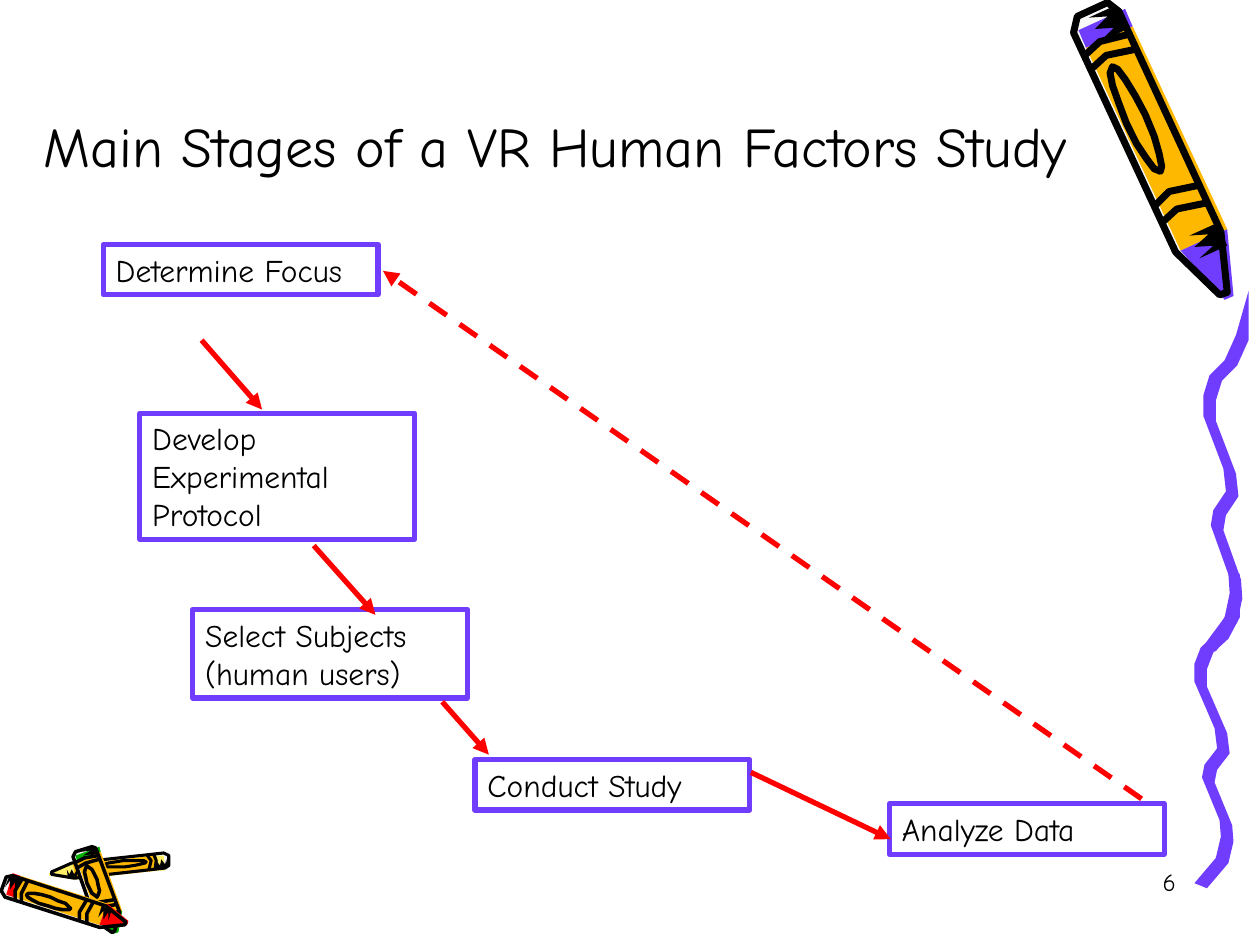
import math

import lxml.etree
import pptx
import pptx.dml.color
import pptx.enum.dml
import pptx.enum.shapes
import pptx.enum.text
import pptx.oxml.ns
import pptx.util

PX = 9144  # EMU per px, 100 px to the inch
FONT = "Comic Neue"
COLORS = {
    "purple": "703DFF", "orange": "FFB800", "white": "F8F8F8", "yellow": "FFEF66",
    "red": "FF0000", "green": "00B200", "black": "000000",
}

# A crayon is described in (along, across): along runs from 0 at the cap to 1 at
# the tip, across from -1 to 1 between its two long edges.
SHOULDER = 0.8
CRAYON_OUTLINE = [(0.04, -1), (0, -0.6), (0, 0.7), (0.04, 1), (SHOULDER, 1),
                  (0.98, 0.2), (0.98, -0.1), (SHOULDER, -1)]
CRAYON_BANDS = [0.1, 0.15, 0.62, 0.68]
INK_EDGES = (-0.78, 1.25)  # the colour is printed a little beside the outline
LABEL_CENTER, LABEL_RADII = (0.37, -0.2), (0.18, 0.4)
LABEL_STEPS = 16

# Crayons: cap end, tip end, half width, colour of cap and tip, pen in points
LARGE_CRAYON = ((866, 8), (972, 238), 20, "purple", 4)
SMALL_CRAYONS = [
    ((134, 683), (39, 693), 6, "yellow", 1.75),
    ((66, 674), (90, 741), 10, "green", 2),
    ((3, 702), (101, 734), 9, "red", 2),
]

# Centre line of one squiggle strand, and the two strands as left, top, height
STRAND_BENDS = [(51, 0), (46, 37), (37, 57), (25, 69), (20, 84), (20, 100), (36, 142),
                (38, 160), (28, 175), (26, 187), (40, 225), (41, 240), (37, 259), (20, 282)]
STRAND_PEN = (5, 2)  # half the slanted nib, across and down
STRANDS = [(933, 455, 248), (940, 231, 284)]

# Stages: left, top, height, text
STAGES = [
    (82, 194, 40, "Determine Focus"),
    (111, 328, 100, "Develop Experimental Protocol"),
    (153, 484, 70, "Select Subjects (human users)"),
    (377, 603, 40, "Conduct Study"),
    (706, 638, 40, "Analyze Data"),
]
STAGE_WIDTH = 218
STEP_ARROWS = [
    (160, 270, 208, 325),
    (249, 433, 298, 488),
    (351, 557, 388, 599),
    (596, 613, 707, 666),
]
FEEDBACK_ARROW = (906, 634, 304, 215)


def rgb(color):
    return pptx.dml.color.RGBColor.from_string(COLORS[color])


def add_outline(parent, points, fill=None, pen=None, close=True):
    """A freeform through the points, filled and/or drawn with a black pen."""
    points = [(round(x), round(y)) for x, y in points]
    builder = parent.shapes.build_freeform(*points[0], scale=PX)
    builder.add_line_segments(points[1:], close=close)
    outline = builder.convert_to_shape()
    outline.shadow.inherit = False
    if fill:
        outline.fill.solid()
        outline.fill.fore_color.rgb = rgb(fill)
    else:
        outline.fill.background()
    if pen:
        outline.line.color.rgb = rgb("black")
        outline.line.width = pptx.util.Pt(pen)
    else:
        outline.line.fill.background()


def add_crayon(slide, cap, tip, half_width, color, pen):
    crayon = slide.shapes.add_group_shape()
    run, drop = tip[0] - cap[0], tip[1] - cap[1]
    spread = half_width / math.hypot(run, drop)

    def place(points):
        return [(cap[0] + along * run + across * spread * drop,
                 cap[1] + along * drop - across * spread * run)
                for along, across in points]

    # Paper, then the coloured cap, body and tip
    near, far = INK_EDGES
    add_outline(crayon, place(CRAYON_OUTLINE), fill="white")
    for start, end, ink in ((0.04, 0.1, color), (0.1, SHOULDER, "orange")):
        add_outline(crayon, place([(start, near), (start, far), (end, far), (end, near)]), fill=ink)
    add_outline(crayon, place([(SHOULDER, near), (SHOULDER, far), (1, 0.4), (1, 0)]), fill=color)

    # Dark jagged shading beside the far edge, at the cap and at the shoulder
    for start in (0.02, SHOULDER - 0.03):
        teeth = [(start + 0.02 * step, 0.5 if step % 2 else -0.2) for step in range(5)]
        add_outline(crayon, place(teeth + [(start + 0.08, 1), (start, 1)]), fill="black")

    # Black bands, oval label and outline
    for along in CRAYON_BANDS:
        band = [(along + 0.02, -1), (along, -0.2), (along + 0.02, 1)]
        add_outline(crayon, place(band), pen=pen, close=False)
    turns = [2 * math.pi * step / LABEL_STEPS for step in range(LABEL_STEPS)]
    label = [(LABEL_CENTER[0] + LABEL_RADII[0] * math.cos(turn),
              LABEL_CENTER[1] + LABEL_RADII[1] * math.sin(turn)) for turn in turns]
    add_outline(crayon, place(label), pen=pen)
    add_outline(crayon, place(CRAYON_OUTLINE), pen=pen)


def add_strand(slide, left, top, height):
    """A ribbon that starts in a point and follows the bends, stretched to the height."""
    stretch = height / STRAND_BENDS[-1][1]
    center = [(left + x, top + y * stretch) for x, y in STRAND_BENDS]
    across, down = STRAND_PEN
    near = [(x - across, y - down) for x, y in center[1:]]
    far = [(x + across, y + down) for x, y in center[1:]]
    add_outline(slide, center[:1] + far + near[::-1], fill="purple")


def add_decoration(slide):
    for crayon in [LARGE_CRAYON] + SMALL_CRAYONS:
        add_crayon(slide, *crayon)
    for strand in STRANDS:
        add_strand(slide, *strand)


def write(shape, text, size, align, anchor):
    frame = shape.text_frame
    frame.word_wrap = True
    frame.vertical_anchor = anchor
    frame.text = text
    paragraph = frame.paragraphs[0]
    paragraph.alignment = align
    paragraph.font.name = FONT
    paragraph.font.size = pptx.util.Pt(size)
    paragraph.font.color.rgb = rgb("black")


def add_label(slide, box, text, size, align, anchor):
    label = slide.shapes.add_textbox(*(length * PX for length in box))
    write(label, text, size, align, anchor)


def add_stage(slide, left, top, height, text):
    stage = slide.shapes.add_shape(
        pptx.enum.shapes.MSO_SHAPE.RECTANGLE,
        left * PX, top * PX, STAGE_WIDTH * PX, height * PX)
    stage.shadow.inherit = False
    stage.fill.background()
    stage.line.color.rgb = rgb("purple")
    stage.line.width = pptx.util.Pt(3)
    write(stage, text, 18, pptx.enum.text.PP_ALIGN.LEFT, pptx.enum.text.MSO_ANCHOR.TOP)


def add_arrow(slide, ends, dashed=False):
    arrow = slide.shapes.add_connector(
        pptx.enum.shapes.MSO_CONNECTOR.STRAIGHT, *(end * PX for end in ends))
    arrow.line.color.rgb = rgb("red")
    arrow.line.width = pptx.util.Pt(3)
    if dashed:
        arrow.line.dash_style = pptx.enum.dml.MSO_LINE.DASH
    qn = pptx.oxml.ns.qn
    properties = arrow.element.find(qn("p:spPr"))
    lxml.etree.SubElement(properties.find(qn("a:ln")), qn("a:tailEnd"), type="triangle")
    lxml.etree.SubElement(properties, qn("a:effectLst"))


def add_study_flow(slide):
    for stage in STAGES:
        add_stage(slide, *stage)
    for ends in STEP_ARROWS:
        add_arrow(slide, ends)
    add_arrow(slide, FEEDBACK_ARROW, dashed=True)


def main():
    deck = pptx.Presentation()
    deck.slide_width, deck.slide_height = 1000 * PX, 750 * PX
    slide = deck.slides.add_slide(deck.slide_layouts[6])
    align, anchor = pptx.enum.text.PP_ALIGN, pptx.enum.text.MSO_ANCHOR

    add_decoration(slide)
    # Page number and title
    add_label(slide, (735, 683, 208, 50), "6", 14, align.RIGHT, anchor.TOP)
    add_label(slide, (0, 24, 882, 123), "Main Stages of a VR Human Factors Study",
              32, align.CENTER, anchor.BOTTOM)
    add_study_flow(slide)
    deck.save("out.pptx")


if __name__ == "__main__":
    main()
